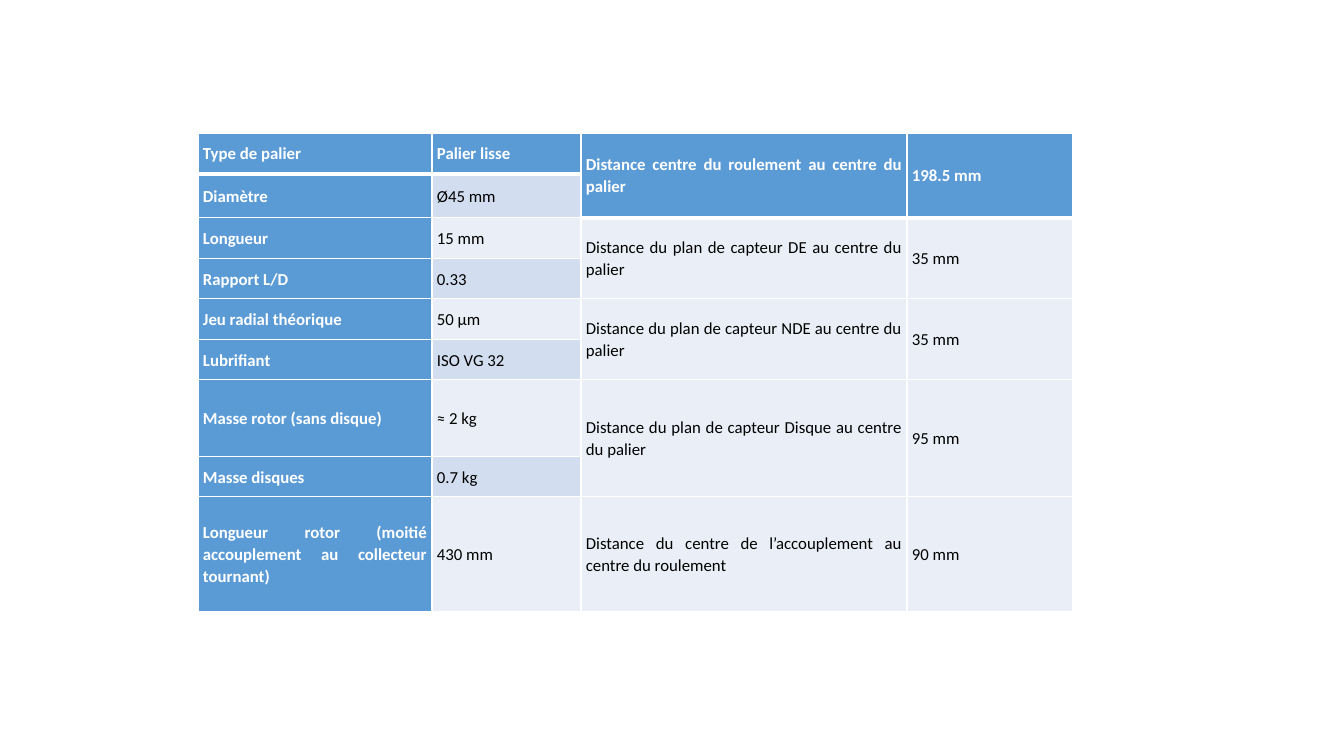
from lxml.etree import SubElement as Sub
from pptx import Presentation
from pptx.dml.color import RGBColor as RGB
from pptx.enum.text import MSO_ANCHOR as Anchor, PP_ALIGN as Align
from pptx.oxml.ns import qn
from pptx.util import Pt

SCALE = 914400 / 100.8
WHITE = RGB(0xFF, 0xFF, 0xFF)
BLACK = RGB(0x00, 0x00, 0x00)
BLUE = RGB(0x5B, 0x9B, 0xD5)
BAND = RGB(0xD2, 0xDE, 0xEF)
PALE = RGB(0xEA, 0xEF, 0xF7)

COLS = [234, 149, 326, 166]
ROWS = [41, 42, 41, 40, 41, 40, 77, 40, 115]
BEARING = [
    ("Type de palier", "Palier lisse"),
    ("Diamètre", "Ø45 mm"),
    ("Longueur", "15 mm"),
    ("Rapport L/D", "0.33"),
    ("Jeu radial théorique", "50 µm"),
    ("Lubrifiant", "ISO VG 32"),
    ("Masse rotor (sans disque)", "≈ 2 kg"),
    ("Masse disques", "0.7 kg"),
    ("Longueur rotor (moitié accouplement au collecteur tournant)", "430 mm"),
]
GAPS = [
    ("Distance centre du roulement au centre du palier", "198.5 mm"),
    ("Distance du plan de capteur DE au centre du palier", "35 mm"),
    ("Distance du plan de capteur NDE au centre du palier", "35 mm"),
    ("Distance du plan de capteur Disque au centre du palier", "95 mm"),
    ("Distance du centre de l’accouplement au centre du roulement", "90 mm"),
]


def px(n):
    return round(n * SCALE)


def edge(cell, side, width):
    line = Sub(cell._tc.get_or_add_tcPr(), qn("a:ln" + side), w=str(Pt(width)))
    fill = Sub(line, qn("a:solidFill"))
    Sub(fill, qn("a:srgbClr"), val=str(WHITE))


def paint(cell, color, top, base):
    for side, width in (("L", 1), ("R", 1), ("T", top), ("B", base)):
        edge(cell, side, width)
    cell.fill.solid()
    cell.fill.fore_color.rgb = color


def write(cell, text, bold):
    cell.vertical_anchor = Anchor.MIDDLE
    cell.margin_left = cell.margin_right = px(5)
    cell.margin_top = cell.margin_bottom = 0
    para = cell.text_frame.paragraphs[0]
    para.alignment = Align.JUSTIFY
    para.line_spacing = 1.07
    run = para.add_run()
    run.text = text
    run.font.name = "Calibri"
    run.font.size = Pt(12)
    run.font.bold = bold
    run.font.color.rgb = WHITE if bold else BLACK


def add_grid(slide, left, top, wide, high):
    frame = slide.shapes.add_table(
        len(ROWS), len(COLS), px(left), px(top), px(wide), px(high))
    grid = frame.table
    grid.first_row = grid.horz_banding = False
    for col, size in zip(grid.columns, COLS):
        col.width = px(size)
    for row, size in zip(grid.rows, ROWS):
        row.height = px(size)
    for r, pair in enumerate(BEARING):
        for c in range(len(COLS)):
            cell = grid.cell(r, c)
            head = 0 if c < 2 else 1
            bold = c == 0 or r <= head
            band = BAND if c == 1 and r % 2 else PALE
            paint(cell, BLUE if bold else band,
                  3 if r == head + 1 else 1, 3 if r <= head else 1)
            if c < 2:
                write(cell, pair[c], bold)
            elif r % 2 == 0:
                write(cell, GAPS[r // 2][c - 2], bold)
                if r + 1 < len(ROWS):
                    cell.merge(grid.cell(r + 1, c))


def main():
    deck = Presentation()
    deck.slide_width, deck.slide_height = px(1344), px(756)
    slide = deck.slides.add_slide(deck.slide_layouts[6])
    add_grid(slide, 198, 133, sum(COLS), sum(ROWS))
    deck.save("out.pptx")


if __name__ == "__main__":
    main()
